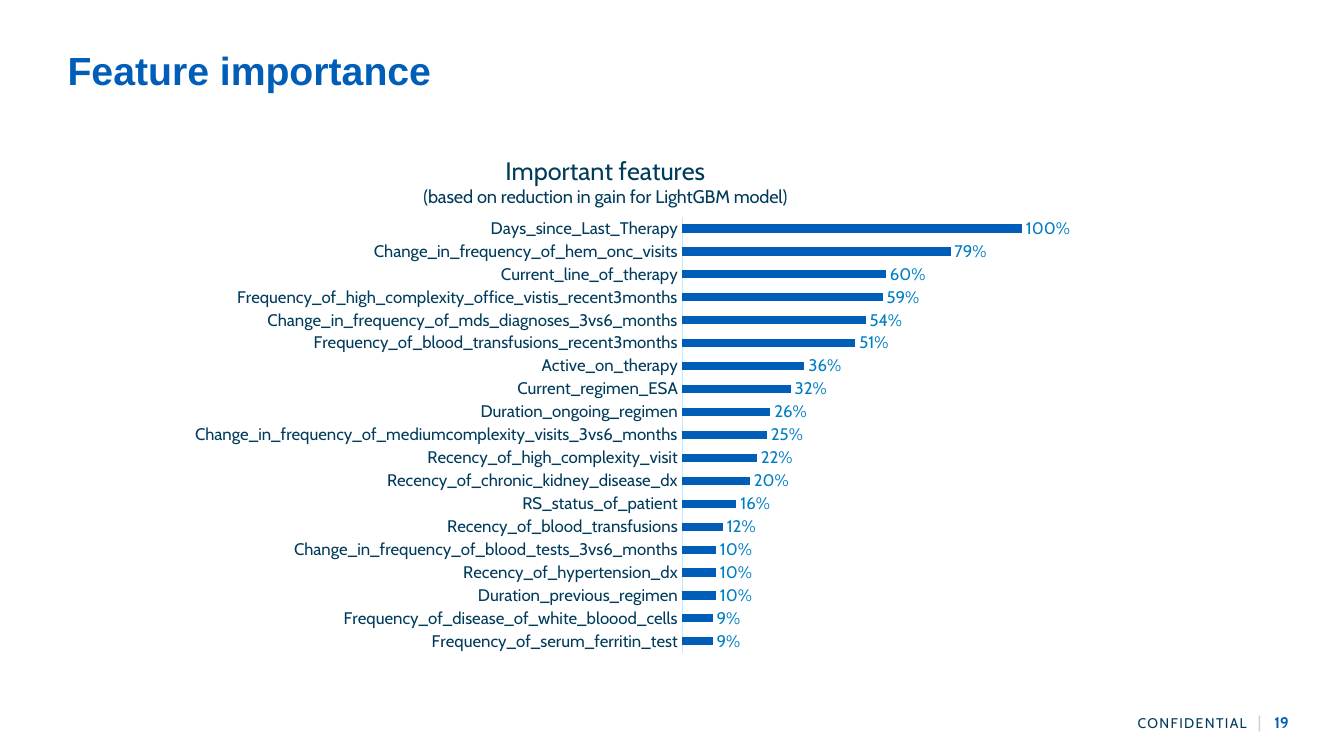
from dataclasses import dataclass

from lxml import etree
from pptx import Presentation
from pptx.chart.data import CategoryChartData
from pptx.dml.color import RGBColor
from pptx.enum.chart import XL_CHART_TYPE, XL_LABEL_POSITION, XL_TICK_MARK
from pptx.enum.text import MSO_ANCHOR, PP_ALIGN
from pptx.oxml.ns import qn
from pptx.util import Inches, Pt

BAR = XL_CHART_TYPE.BAR_CLUSTERED
OUTSIDE_END = XL_LABEL_POSITION.OUTSIDE_END
NO_TICK = XL_TICK_MARK.NONE
MIDDLE = MSO_ANCHOR.MIDDLE
LEFT, CENTER, RIGHT = PP_ALIGN.LEFT, PP_ALIGN.CENTER, PP_ALIGN.RIGHT

SLIDE_W, SLIDE_H = Inches(13.33), Inches(7.5)
BLUE, NAVY, SKY, PALE, GREY = "005EB8", "003B5C", "007EC4", "C0E9FF", "D0D0CE"
CABIN = "Cabin"


@dataclass
class Box:
    """A place on the slide, in percent of its width and height."""
    x: float
    y: float
    w: float
    h: float

    def emu(self) -> tuple[int, int, int, int]:
        return (int(SLIDE_W * self.x / 100), int(SLIDE_H * self.y / 100),
                int(SLIDE_W * self.w / 100), int(SLIDE_H * self.h / 100))


@dataclass
class Run:
    text: str
    size: float
    color: str
    font: str = CABIN
    bold: bool = False
    spacing: float = 0


@dataclass
class Feature:
    name: str
    gain: float


TITLE_BOX = Box(5.03, 3.47, 90.02, 11.47)
CHART_BOX = Box(3, 19.33, 78.54, 70.13)
MARK_BOX = Box(83.57, 94.4, 11.03, 2.27)
PAGE_BOX = Box(94.82, 94.4, 4.05, 2.27)

FEATURES = [
    Feature("Days_since_Last_Therapy", 1),
    Feature("Change_in_frequency_of_hem_onc_visits", 0.79),
    Feature("Current_line_of_therapy", 0.6),
    Feature("Frequency_of_high_complexity_office_vistis_recent3months", 0.59),
    Feature("Change_in_frequency_of_mds_diagnoses_3vs6_months", 0.54),
    Feature("Frequency_of_blood_transfusions_recent3months", 0.51),
    Feature("Active_on_therapy", 0.36),
    Feature("Current_regimen_ESA", 0.32),
    Feature("Duration_ongoing_regimen", 0.26),
    Feature("Change_in_frequency_of_mediumcomplexity_visits_3vs6_months", 0.25),
    Feature("Recency_of_high_complexity_visit", 0.22),
    Feature("Recency_of_chronic_kidney_disease_dx", 0.2),
    Feature("RS_status_of_patient", 0.16),
    Feature("Recency_of_blood_transfusions", 0.12),
    Feature("Change_in_frequency_of_blood_tests_3vs6_months", 0.1),
    Feature("Recency_of_hypertension_dx", 0.1),
    Feature("Duration_previous_regimen", 0.1),
    Feature("Frequency_of_disease_of_white_bloood_cells", 0.09),
    Feature("Frequency_of_serum_ferritin_test", 0.09),
]


def rgb(color: str) -> RGBColor:
    return RGBColor.from_string(color)


def style_font(font, size: float, color: str, name: str = CABIN, bold: bool = False) -> None:
    font.name, font.size, font.bold = name, Pt(size), bold
    font.color.rgb = rgb(color)


def add_runs(p, runs: list[Run], align) -> None:
    p.alignment = align
    for run in runs:
        r = p.add_run()
        r.text = run.text
        style_font(r.font, run.size, run.color, run.font, run.bold)
        if run.spacing:
            r.font._element.set("spc", str(int(run.spacing * 100)))


def fill_frame(tf, runs: list[Run], align, side: float = 0) -> None:
    tf.word_wrap = True
    tf.vertical_anchor = MIDDLE
    tf.margin_left = tf.margin_right = Inches(side)
    tf.margin_top = tf.margin_bottom = 0
    add_runs(tf.paragraphs[0], runs, align)


def place_part(part, **shares: float) -> None:
    """Fix a chart part at shares of the chart's size."""
    for old in part.findall(qn("c:layout")):
        part.remove(old)
    layout = etree.Element(qn("c:layout"))
    manual = etree.SubElement(layout, qn("c:manualLayout"))
    values = {"xMode": "edge", "yMode": "edge", **shares}
    if "w" in shares:
        values = {"layoutTarget": "inner", **values}
    for tag, value in values.items():
        etree.SubElement(manual, qn(f"c:{tag}")).set("val", str(value))
    text = part.find(qn("c:tx"))
    part.insert(0 if text is None else 1, layout)


def add_feature_chart(s) -> None:
    data = CategoryChartData(number_format="0%")
    rising = FEATURES[::-1]
    data.categories = [f.name for f in rising]
    data.add_series("Series 1", [f.gain for f in rising])
    chart = s.shapes.add_chart(BAR, *CHART_BOX.emu(), data).chart
    style_font(chart.font, 10, NAVY)
    chart.has_legend = False

    tf = chart.chart_title.text_frame
    add_runs(tf.paragraphs[0], [Run("Important features", 18, NAVY)], CENTER)
    add_runs(tf.add_paragraph(),
             [Run("(based on reduction in gain for LightGBM model)", 13, NAVY)], CENTER)
    place_part(chart.chart_title._element, x=0.36, y=0.01)
    place_part(chart._chartSpace.chart.plotArea, x=0.608, y=0.134, w=0.322, h=0.822)

    names = chart.category_axis
    names.major_tick_mark = names.minor_tick_mark = NO_TICK
    names.has_major_gridlines = False
    style_font(names.tick_labels.font, 12, NAVY)
    names.format.line.color.rgb = rgb(PALE)
    names.format.line.width = Pt(0.75)

    gains = chart.value_axis
    gains.minimum_scale, gains.maximum_scale, gains.major_unit = 0, 1, 0.5
    gains.has_major_gridlines = False
    gains.visible = False

    plot = chart.plots[0]
    plot.gap_width = 182
    plot.vary_by_categories = False
    bars = plot.series[0]
    bars.format.fill.solid()
    bars.format.fill.fore_color.rgb = rgb(BLUE)
    labels = bars.data_labels
    labels.show_value = True
    labels.number_format, labels.number_format_is_linked = "0%", False
    labels.position = OUTSIDE_END
    style_font(labels.font, 12, SKY)


def main() -> None:
    prs = Presentation()
    prs.slide_width, prs.slide_height = SLIDE_W, SLIDE_H
    s = prs.slides.add_slide(prs.slide_layouts[5])

    title = s.shapes.title
    title.left, title.top, title.width, title.height = TITLE_BOX.emu()
    fill_frame(title.text_frame, [Run("Feature importance", 28, BLUE, "Arial", True)], LEFT)

    add_feature_chart(s)

    page = s.shapes.add_textbox(*PAGE_BOX.emu())
    fill_frame(page.text_frame, [Run("19", 11, BLUE, bold=True)], LEFT)
    mark = s.shapes.add_textbox(*MARK_BOX.emu())
    fill_frame(mark.text_frame, [Run("CONFIDENTIAL", 10, NAVY, spacing=1),
                                 Run(" ", 10, NAVY, spacing=4.5),
                                 Run("|", 12, GREY)], RIGHT, side=0.1)
    prs.save("out.pptx")


if __name__ == "__main__":
    main()
